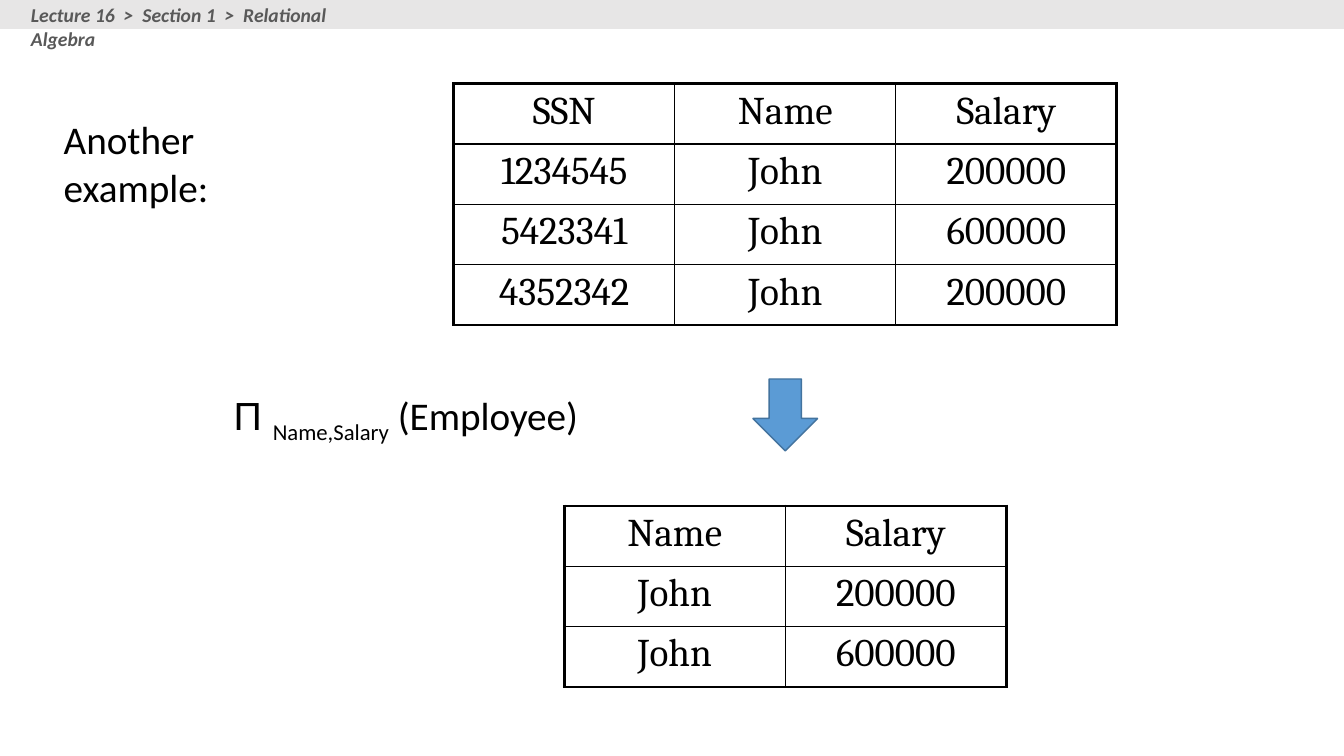
from lxml.etree import SubElement
from pptx import Presentation
from pptx.dml.color import RGBColor
from pptx.enum.shapes import MSO_SHAPE
from pptx.enum.text import MSO_ANCHOR, MSO_AUTO_SIZE, PP_ALIGN
from pptx.oxml.ns import qn
from pptx.util import Cm, Pt

COLORS = {
    "text": "000000",
    "breadcrumb": "595959",
    "bar": "E7E6E6",
    "arrow": "5B9BD5",
    "arrow_line": "43739E",
}
CENTER_X = 19.79  # shared axis of both tables and the arrow, cm
COL_W, ROW_H = 5.57, 1.52
THICK, THIN = 2.25, 1

EMPLOYEES = [
    ["SSN", "Name", "Salary"],
    ["1234545", "John", "200000"],
    ["5423341", "John", "600000"],
    ["4352342", "John", "200000"],
]
PROJECTION = [
    ["Name", "Salary"],
    ["John", "200000"],
    ["John", "600000"],
]


def rgb(name):
    return RGBColor.from_string(COLORS[name])


def format_run(r, size=28, font="Calibri", color="text", bold=False, italic=False):
    r.font.size = Pt(size)
    r.font.name = font
    r.font.color.rgb = rgb(color)
    r.font.bold = bold
    r.font.italic = italic


def place(sp, left, top, width, height):
    sp.left, sp.top, sp.width, sp.height = Cm(left), Cm(top), Cm(width), Cm(height)


def add_text(slide, left, top, width, height):
    sp = slide.shapes.add_textbox(Cm(left), Cm(top), Cm(width), Cm(height))
    sp.text_frame.word_wrap = True
    return sp.text_frame.paragraphs[0]


def add_block(slide, kind, left, top, width, height, fill, line=None):
    sp = slide.shapes.add_shape(kind, Cm(left), Cm(top), Cm(width), Cm(height))
    sp.shadow.inherit = False
    sp.fill.solid()
    sp.fill.fore_color.rgb = rgb(fill)
    if line:
        sp.line.color.rgb = rgb(line)
        sp.line.width = Pt(1)
    else:
        sp.line.fill.background()


def set_borders(cell, widths):
    tcPr = cell._tc.get_or_add_tcPr()
    for side, width in zip("LRTB", widths):
        ln = SubElement(tcPr, qn(f"a:ln{side}"), w=str(Pt(width)))
        fill = SubElement(ln, qn("a:solidFill"))
        SubElement(fill, qn("a:srgbClr"), val=COLORS["text"])


def add_relation(slide, rows, top):
    n_rows, n_cols = len(rows), len(rows[0])
    width = n_cols * COL_W
    table = slide.shapes.add_table(
        n_rows, n_cols, Cm(CENTER_X - width / 2), Cm(top), Cm(width), Cm(n_rows * ROW_H)
    ).table
    table.first_row = table.horz_banding = False
    for i, row in enumerate(rows):
        for j, value in enumerate(row):
            cell = table.cell(i, j)
            # Outer edges are thick, inner ones thin
            edges = (j == 0, j == n_cols - 1, i == 0, i == n_rows - 1)
            set_borders(cell, [THICK if outer else THIN for outer in edges])
            cell.fill.background()
            p = cell.text_frame.paragraphs[0]
            p.text = value
            p.alignment = PP_ALIGN.CENTER
            format_run(p.runs[0], font="Cambria")


def add_title(slide, text):
    sp = slide.shapes.title
    place(sp, 1.35, 2.79, 7.65, 2.6)
    tf = sp.text_frame
    tf.text = text
    tf.word_wrap = True
    tf.auto_size = MSO_AUTO_SIZE.NONE
    tf.vertical_anchor = MSO_ANCHOR.TOP
    p = tf.paragraphs[0]
    p.alignment = PP_ALIGN.LEFT
    format_run(p.runs[0])


def add_formula(slide):
    p = add_text(slide, 5.64, 9.73, 9.73, 1.45)
    for text, font, baseline in [
        ("Π ", "Arial", 0),
        ("Name,Salary", "Calibri", -25000),
        (" (Employee)", "Calibri", 0),
    ]:
        r = p.add_run()
        r.text = text
        format_run(r, font=font)
        if baseline:
            r.font._element.set("baseline", str(baseline))


def main():
    prs = Presentation()
    prs.slide_width, prs.slide_height = Cm(33.87), Cm(19.05)
    slide = prs.slides.add_slide(prs.slide_layouts[5])

    # Title, formula and the two relations
    add_title(slide, "Another example:")
    add_formula(slide)
    add_relation(slide, EMPLOYEES, 2.11)
    add_relation(slide, PROJECTION, 12.75)

    # Arrow from input to result
    arrow_w = 1.63
    add_block(slide, MSO_SHAPE.DOWN_ARROW, CENTER_X - arrow_w / 2, 9.55,
              arrow_w, 1.81, "arrow", "arrow_line")

    # Breadcrumb bar
    add_block(slide, MSO_SHAPE.RECTANGLE, 0, 0, 33.87, 0.73, "bar")
    p = add_text(slide, 0.53, -0.05, 9.5, 0.86)
    p.text = "Lecture 16  >  Section 1  >  Relational Algebra"
    format_run(p.runs[0], size=14, color="breadcrumb", bold=True, italic=True)

    prs.save("out.pptx")


if __name__ == "__main__":
    main()
